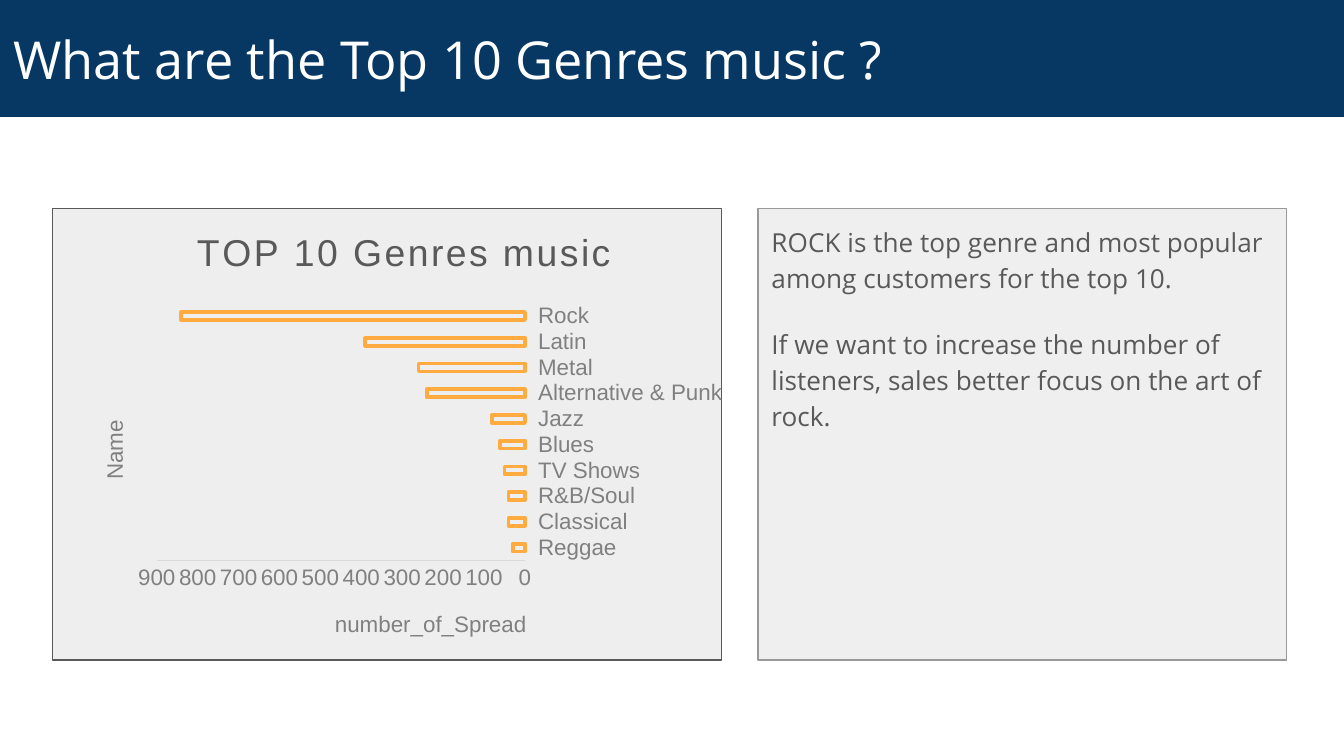
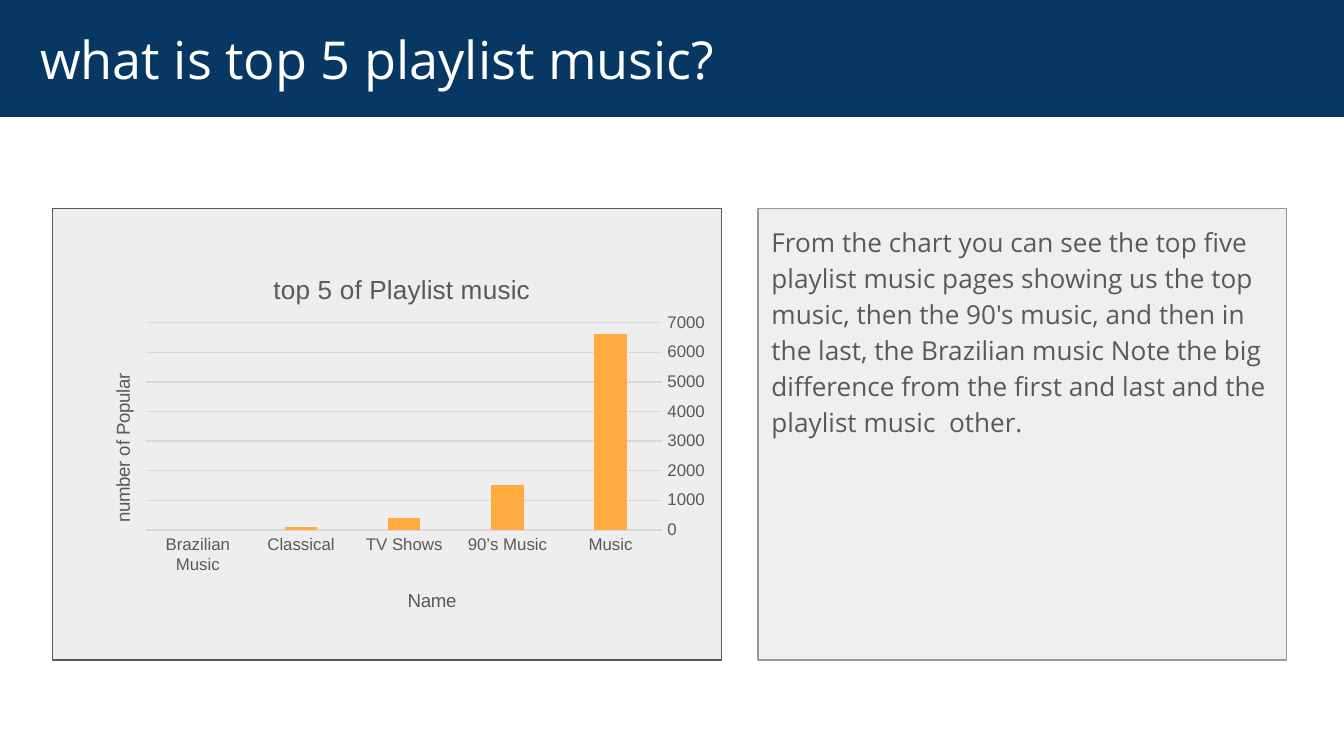
from lxml import etree
from pptx import Presentation
from pptx.chart.data import CategoryChartData
from pptx.dml.color import RGBColor
from pptx.enum.chart import XL_CHART_TYPE, XL_TICK_MARK
from pptx.enum.shapes import MSO_SHAPE
from pptx.enum.text import MSO_ANCHOR, MSO_AUTO_SIZE, PP_ALIGN
from pptx.oxml.ns import qn
from pptx.util import Pt

BAR = XL_CHART_TYPE.BAR_CLUSTERED
COLUMN = XL_CHART_TYPE.COLUMN_CLUSTERED
OUT, NONE = XL_TICK_MARK.OUTSIDE, XL_TICK_MARK.NONE
RECT = MSO_SHAPE.RECTANGLE
MIDDLE, TOP = MSO_ANCHOR.MIDDLE, MSO_ANCHOR.TOP
LEFT = PP_ALIGN.LEFT

NAVY = RGBColor(0x07, 0x37, 0x63)
WHITE = RGBColor(0xFF, 0xFF, 0xFF)
PAPER = RGBColor(0xEF, 0xEF, 0xEF)
PANEL = RGBColor(0xEE, 0xEE, 0xEE)
EDGE = RGBColor(0x99, 0x99, 0x99)
DARK = RGBColor(0x59, 0x59, 0x59)
GREY = RGBColor(0x80, 0x80, 0x80)
RULE = RGBColor(0xD9, 0xD9, 0xD9)
ORANGE = RGBColor(0xFF, 0xAB, 0x40)

WIDE, HIGH = 720, 405
BAND = 62.6
ROW_TOP, ROW_HIGH = 111.6, 242
INSET = 7.2


def write(para, text, font="Open Sans", size=14, color=DARK, space=None):
    """Add one run of text to a paragraph."""
    run = para.add_run()
    run.text = text
    run.font.name, run.font.size = font, Pt(size)
    run.font.bold = False
    run.font.color.rgb = color
    if space:
        run.font._element.set("spc", str(space))


def stroke(line, color=None, width=0.75):
    if color is None:
        line.fill.background()
    else:
        line.color.rgb = color
        line.width = Pt(width)


def lay(node, spot, after=None, inner=False):
    """Give a chart part a manual place, in shares of the chart."""
    for old in node.findall(qn("c:layout")):
        node.remove(old)
    layout = etree.Element(qn("c:layout"))
    manual = etree.SubElement(layout, qn("c:manualLayout"))
    pairs = [("layoutTarget", "inner")] if inner else []
    pairs += [("xMode", "edge"), ("yMode", "edge")]
    pairs += zip("xywh", spot)
    for tag, val in pairs:
        etree.SubElement(manual, qn("c:" + tag)).set("val", str(val))
    if after is None:
        node.insert(0, layout)
    else:
        after.addnext(layout)


def head(title, text, spot, turn=False, **style):
    """Fill and place a chart title or an axis title."""
    frame = title.text_frame
    write(frame.paragraphs[0], text, font="Arial", **style)
    if turn:
        body = frame._txBody.find(qn("a:bodyPr"))
        body.set("rot", "-5400000")
        body.set("vert", "horz")
    node = title._element
    lay(node, spot, after=node.find(qn("c:tx")))


class Deck:
    def __init__(self):
        self.prs = Presentation()
        self.prs.slide_width, self.prs.slide_height = Pt(WIDE), Pt(HIGH)
        self.slide = None

    def add(self):
        self.slide = self.prs.slides.add_slide(self.prs.slide_layouts[1])

    def frame(self, shape, box, fill, line=None, anchor=TOP, shift=0):
        """Place and paint a text holder, and return its text frame."""
        shape.left, shape.top, shape.width, shape.height = map(Pt, box)
        shape.fill.solid()
        shape.fill.fore_color.rgb = fill
        stroke(shape.line, line)
        text = shape.text_frame
        text.word_wrap, text.auto_size = True, MSO_AUTO_SIZE.NONE
        text.vertical_anchor = anchor
        text.margin_left = Pt(INSET + shift)
        text.margin_right = text.margin_top = text.margin_bottom = Pt(INSET)
        return text

    def title(self, text, shift=0):
        frame = self.frame(self.slide.shapes.title, (0, 0, WIDE, BAND),
                           NAVY, anchor=MIDDLE, shift=shift)
        para = frame.paragraphs[0]
        para.alignment = LEFT
        write(para, text, size=28, color=WHITE)

    def body(self, *texts):
        box = (406.1, ROW_TOP, 283, ROW_HIGH)
        frame = self.frame(self.slide.placeholders[1], box, PAPER, EDGE)
        for num, text in enumerate(texts):
            para = frame.add_paragraph() if num else frame.paragraphs[0]
            para.alignment, para.line_spacing = LEFT, 1.15
            para.space_before, para.space_after = Pt(0), Pt(16)
            props = para._p.get_or_add_pPr()
            props.set("marL", "0")
            props.set("indent", "0")
            etree.SubElement(props, qn("a:buNone"))
            write(para, text)

    def panel(self):
        shape = self.slide.shapes.add_shape(
            RECT, Pt(28), Pt(ROW_TOP), Pt(358.6), Pt(ROW_HIGH))
        shape.shadow.inherit = False
        shape.fill.solid()
        shape.fill.fore_color.rgb = PANEL
        stroke(shape.line, DARK)

    def chart(self, kind, box, plot, data, gap, lap):
        """Add a chart with one series, and return it with the series."""
        source = CategoryChartData()
        source.categories = list(data)
        source.add_series("Series 1", list(data.values()))
        chart = self.slide.shapes.add_chart(
            kind, *map(Pt, box), source).chart
        chart.has_legend = False
        chart.font.name, chart.font.size = "Arial", Pt(10)
        bars = chart.plots[0]
        bars.vary_by_categories = False
        bars.gap_width, bars.overlap = gap, lap
        lay(chart._chartSpace.chart.plotArea, plot, inner=True)
        return chart, bars.series[0]

    def axis(self, axis, size, color, line=None, tick=NONE, rev=False,
             grid=None, top=None, step=None):
        axis.major_tick_mark, axis.minor_tick_mark = tick, NONE
        font = axis.tick_labels.font
        font.name, font.size, font.color.rgb = "Arial", Pt(size), color
        stroke(axis.format.line, line)
        axis.reverse_order = rev
        axis.has_major_gridlines = grid is not None
        if grid is not None:
            stroke(axis.major_gridlines.format.line, grid)
        if top:
            axis.minimum_scale, axis.maximum_scale = 0, top
            axis.major_unit = step


deck = Deck()

# Slide 1: genres
deck.add()
deck.title("What are the Top 10 Genres music ?")
deck.body("ROCK is the top genre and most popular among customers "
          "for the top 10.",
          "If we want to increase the number of listeners, sales better "
          "focus on the art of rock.")
deck.panel()
genres = {"Reggae": 30, "Classical": 40, "R&B/Soul": 40, "TV Shows": 50,
          "Blues": 60, "Jazz": 80, "Alternative & Punk": 240, "Metal": 260,
          "Latin": 390, "Rock": 840}
chart, bars = deck.chart(BAR, (33.8, ROW_TOP, 358.6, ROW_HIGH),
                         (0.14, 0.21, 0.55, 0.57), genres, 227, -48)
bars.format.fill.background()
stroke(bars.format.line, ORANGE, 2)
cats, vals = chart.category_axis, chart.value_axis
deck.axis(cats, 12, GREY, tick=OUT)
deck.axis(vals, 12, GREY, line=RULE, rev=True, top=900, step=100)
head(chart.chart_title, "TOP 10 Genres music", (0.19, 0.03),
     size=20, space=120)
head(cats.axis_title, "Name", (0.05, 0.46), turn=True, size=12, color=GREY)
head(vals.axis_title, "number_of_Spread", (0.4, 0.88), size=12, color=GREY)

# Slide 2: playlists
deck.add()
deck.title("what is top 5 playlist music?", shift=14.4)
deck.body("From the chart you can see the top five playlist music pages "
          "showing us the top music, then the 90's music, and then in the "
          "last, the Brazilian music Note the big difference from the first "
          "and last and the playlist music  other.")
deck.panel()
lists = {"Music": 6600, "90’s Music": 1500, "TV Shows": 400,
         "Classical": 100, "Brazilian Music": 0}
chart, bars = deck.chart(COLUMN, (40.3, 131, 345.6, 209.5),
                         (0.11, 0.2, 0.8, 0.53), lists, 219, -27)
bars.format.fill.solid()
bars.format.fill.fore_color.rgb = ORANGE
cats, vals = chart.category_axis, chart.value_axis
deck.axis(cats, 9, DARK, line=RULE, rev=True)
deck.axis(vals, 9, DARK, grid=RULE, top=7000, step=1000)
head(chart.chart_title, "top 5 of Playlist music", (0.3, 0.06), size=14)
head(cats.axis_title, "Name", (0.51, 0.87), size=10)
head(vals.axis_title, "number of Popular", (0.05, 0.32), turn=True, size=10)

deck.prs.save("out.pptx")
